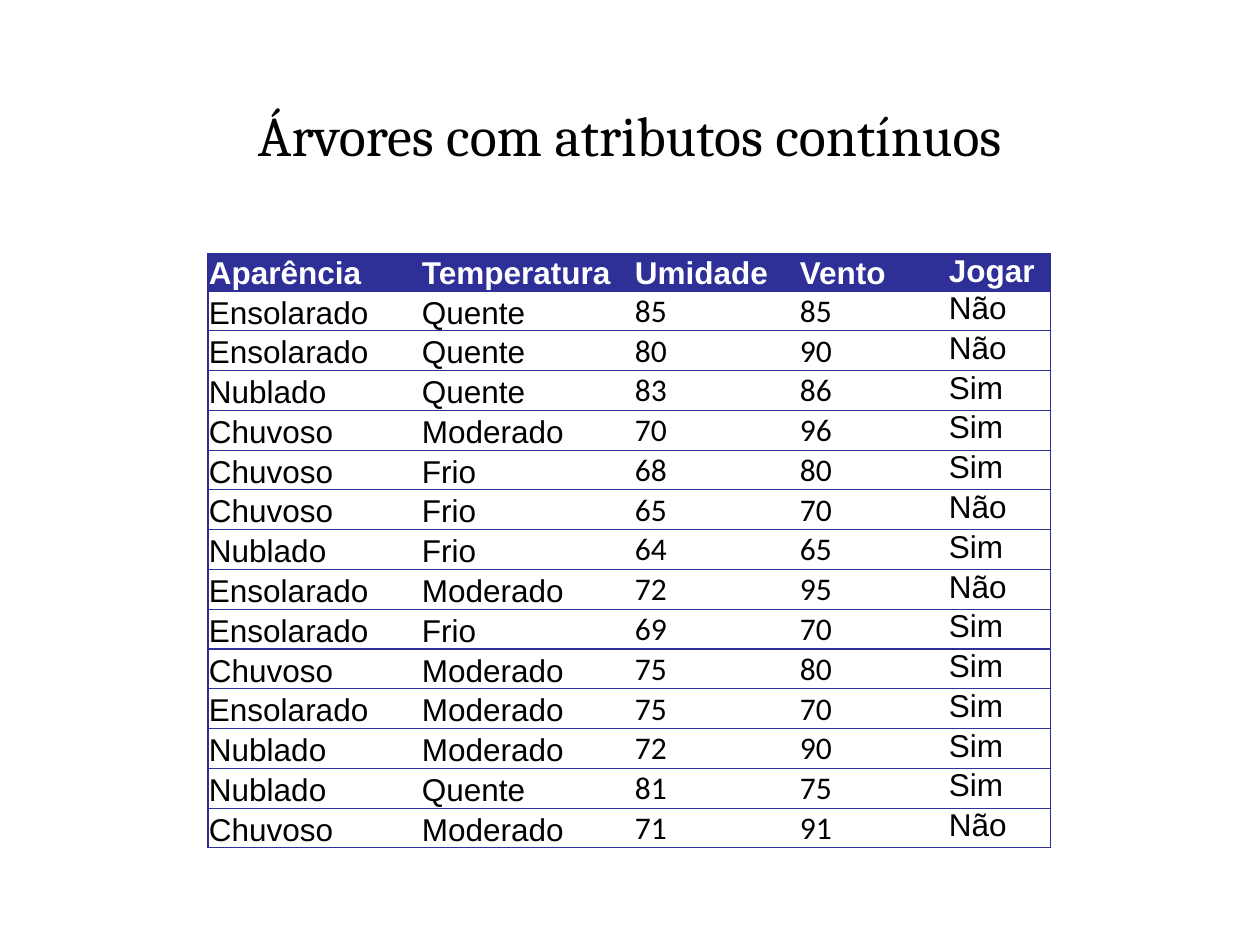
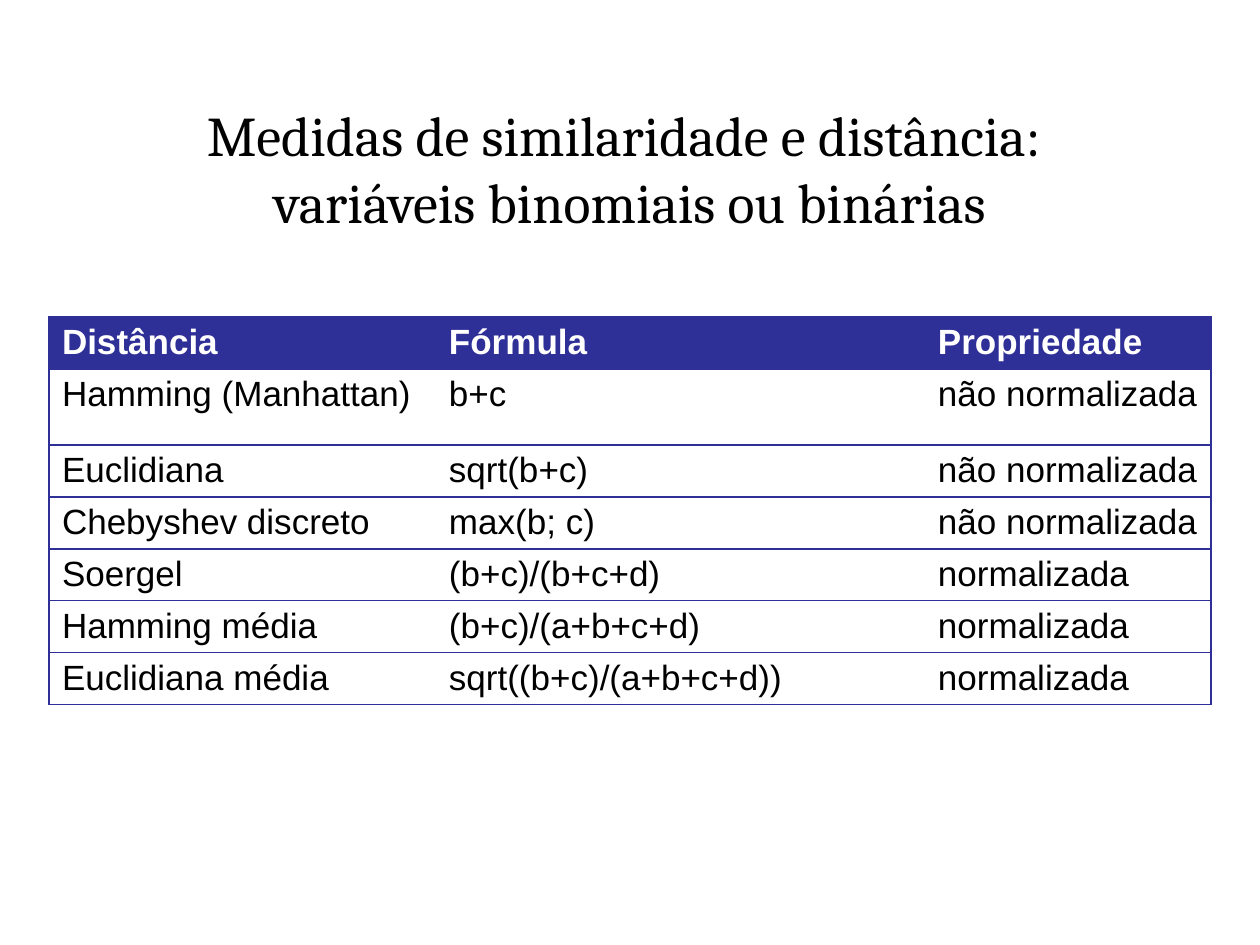
from lxml import etree
from pptx import Presentation
from pptx import util as u
from pptx.dml.color import RGBColor
from pptx.enum import text as t
from pptx.oxml import ns

PIXELS_PER_INCH = 126
INDIGO = RGBColor(0x2F, 0x2F, 0x98)
WHITE = RGBColor(0xFF, 0xFF, 0xFF)
BLACK = RGBColor(0x00, 0x00, 0x00)

WEATHER_HEADER = ["Aparência", "Temperatura", "Umidade", "Vento", "Jogar"]
WEATHER_DAYS = [
    ["Ensolarado", "Quente", "85", "85", "Não"],
    ["Ensolarado", "Quente", "80", "90", "Não"],
    ["Nublado", "Quente", "83", "86", "Sim"],
    ["Chuvoso", "Moderado", "70", "96", "Sim"],
    ["Chuvoso", "Frio", "68", "80", "Sim"],
    ["Chuvoso", "Frio", "65", "70", "Não"],
    ["Nublado", "Frio", "64", "65", "Sim"],
    ["Ensolarado", "Moderado", "72", "95", "Não"],
    ["Ensolarado", "Frio", "69", "70", "Sim"],
    ["Chuvoso", "Moderado", "75", "80", "Sim"],
    ["Ensolarado", "Moderado", "75", "70", "Sim"],
    ["Nublado", "Moderado", "72", "90", "Sim"],
    ["Nublado", "Quente", "81", "75", "Sim"],
    ["Chuvoso", "Moderado", "71", "91", "Não"],
]
DISTANCE_HEADER = ["Distância", "Fórmula", "Propriedade"]
DISTANCES = [
    ["Hamming (Manhattan)", "b+c", "não normalizada"],
    ["Euclidiana", "sqrt(b+c)", "não normalizada"],
    ["Chebyshev discreto", "max(b; c)", "não normalizada"],
    ["Soergel", "(b+c)/(b+c+d)", "normalizada"],
    ["Hamming média", "(b+c)/(a+b+c+d)", "normalizada"],
    ["Euclidiana média", "sqrt((b+c)/(a+b+c+d))", "normalizada"],
]


def px(length):
    return u.Emu(round(length * 914400 / PIXELS_PER_INCH))


def write_text(frame, content, *, size, font="Arial", color=BLACK, bold=False,
               align=t.PP_ALIGN.LEFT):
    frame.text = content
    for paragraph in frame.paragraphs:
        paragraph.alignment = align
        for run in paragraph.runs:
            run.font.size = u.Pt(size)
            run.font.name = font
            run.font.bold = bold
            run.font.color.rgb = color


def add_titled_slide(presentation, title):
    slide = presentation.slides.add_slide(presentation.slide_layouts[5])
    shape = slide.shapes.title
    shape.left, shape.top, shape.width, shape.height = map(px, (48, 94, 1164, 150))
    frame = shape.text_frame
    frame.auto_size = t.MSO_AUTO_SIZE.NONE
    frame.vertical_anchor = t.MSO_ANCHOR.TOP
    write_text(frame, title, size=32, font="Cambria", align=t.PP_ALIGN.CENTER)
    return slide


def set_borders(cell, visible_sides):
    properties = cell._tc.get_or_add_tcPr()
    for position, side in enumerate("LRTB"):
        line = etree.Element(ns.qn(f"a:ln{side}"), w=str(u.Pt(0.75)))
        if side in visible_sides:
            fill = etree.SubElement(line, ns.qn("a:solidFill"))
            etree.SubElement(fill, ns.qn("a:srgbClr"), val=str(INDIGO))
        else:
            etree.SubElement(line, ns.qn("a:noFill"))
        properties.insert(position, line)


def set_margins(cell, left, top, right, bottom):
    cell.margin_left, cell.margin_top = px(left), px(top)
    cell.margin_right, cell.margin_bottom = px(right), px(bottom)


def add_ruled_table(slide, left, top, widths, heights, header, body, *, size,
                    margins):
    rows = [header, *body]
    table = slide.shapes.add_table(
        len(rows), len(header), px(left), px(top), px(sum(widths)), px(sum(heights))
    ).table
    table.horz_banding = False
    for column, width in zip(table.columns, widths):
        column.width = px(width)
    for row, height in zip(table.rows, heights):
        row.height = px(height)
    for row_index, values in enumerate(rows):
        is_header = row_index == 0
        for column_index, value in enumerate(values):
            cell = table.cell(row_index, column_index)
            write_text(cell.text_frame, value, size=size, bold=is_header,
                       color=WHITE if is_header else BLACK,
                       font="Calibri" if value.isdigit() else "Arial")
            set_margins(cell, *margins)
            cell.fill.solid()
            cell.fill.fore_color.rgb = INDIGO if is_header else WHITE
            sides = "TB"
            if column_index == 0:
                sides += "L"
            if column_index == len(header) - 1:
                sides += "R"
            set_borders(cell, sides)
    return table


def align_weather_cells(table):
    last = len(table.columns) - 1
    for row in table.rows:
        for cell in list(row.cells)[:last]:
            cell.vertical_anchor = t.MSO_ANCHOR.BOTTOM
        set_margins(row.cells[last], 0, 0, 0, 0)


def main():
    presentation = Presentation()
    presentation.slide_width, presentation.slide_height = px(1260), px(945)

    slide = add_titled_slide(presentation, "Árvores com atributos contínuos")
    day_height = 557 / len(WEATHER_DAYS)
    table = add_ruled_table(
        slide, 208, 254, [213, 213, 165, 150, 102],
        [37] + [day_height] * len(WEATHER_DAYS),
        WEATHER_HEADER, WEATHER_DAYS, size=18, margins=(1, 1, 1, 0))
    align_weather_cells(table)

    slide = add_titled_slide(
        presentation,
        "Medidas de similaridade e distância: \vvariáveis binomiais ou binárias")
    add_ruled_table(
        slide, 49, 317, [387, 489, 286], [52, 76] + [52] * 5,
        DISTANCE_HEADER, DISTANCES, size=20, margins=(13, 6, 13, 5))

    presentation.save("out.pptx")


if __name__ == "__main__":
    main()
